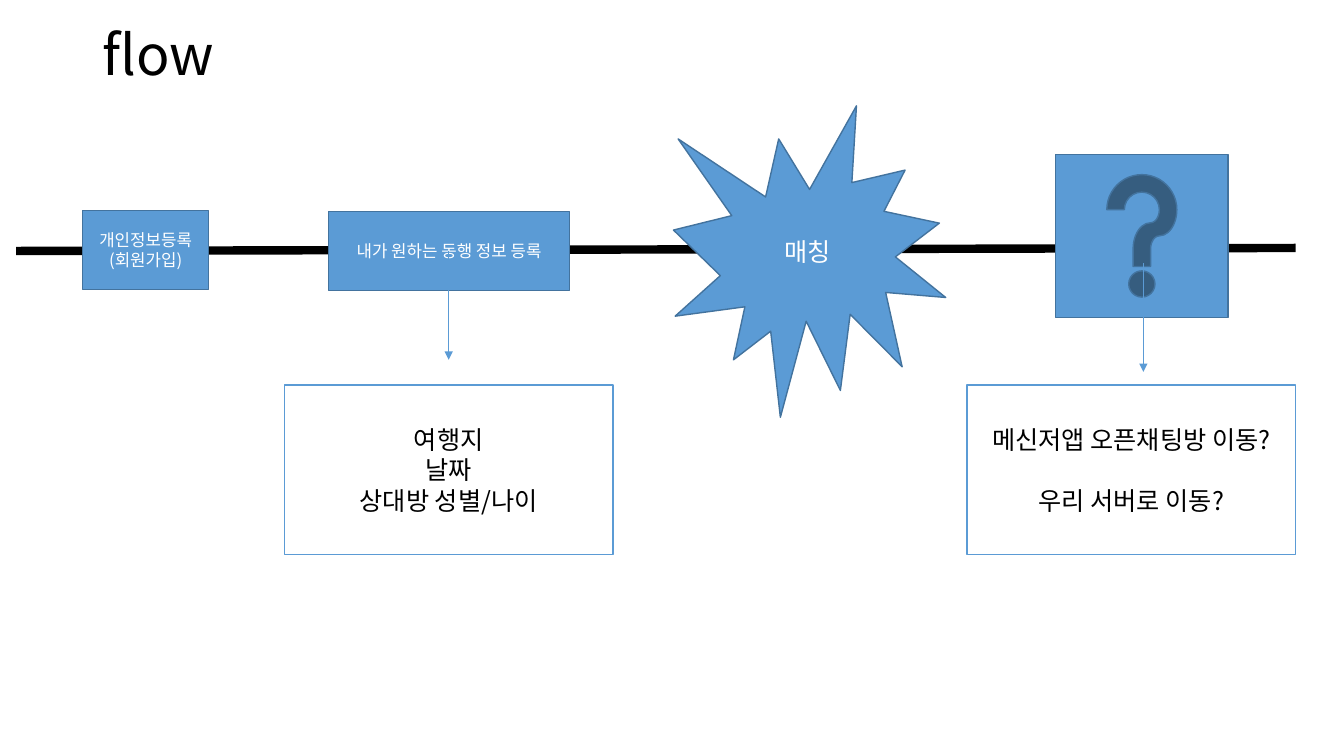
from lxml import etree
from pptx import Presentation
from pptx import util as u
from pptx.dml import color
from pptx.enum import shapes, text
from pptx.oxml import ns

FONT = "Noto Sans CJK KR"
BLUE, EDGE, WHITE, BLACK = "5B9BD5", "43739E", "FFFFFF", "000000"
KIND = shapes.MSO_SHAPE


def tint(code):
    return color.RGBColor.from_string(code)


class Deck:
    """Holds the text style and the current slide."""

    def __init__(self, show):
        self.slide = show.slides.add_slide(show.slide_layouts[6])
        self.frame = {"word_wrap": True, "vertical_anchor": text.MSO_ANCHOR.MIDDLE}

    def label(self, shape, lines, size, ink, **form):
        frame = shape.text_frame
        for key, val in self.frame.items():
            setattr(frame, key, val)
        for i, line in enumerate(lines):
            para = frame.add_paragraph() if i else frame.paragraphs[0]
            for key, val in form.items():
                if i or key != "space_before":
                    setattr(para, key, val)
            run = para.add_run()
            run.text = line
            for key, val in {"size": u.Pt(size), "name": FONT}.items():
                setattr(run.font, key, val)
            run.font.color.rgb = tint(ink)
            etree.SubElement(run._r.get_or_add_rPr(), ns.qn("a:ea"), typeface=FONT)

    def title(self, spot, words):
        box = self.slide.shapes.add_textbox(*map(u.Inches, spot))
        self.label(box, [words], 39.6, BLACK, line_spacing=0.9)

    def shape(self, kind, spot, lines=(), size=12, fill=BLUE, edge=EDGE, ink=WHITE, gap=0):
        item = self.slide.shapes.add_shape(kind, *map(u.Inches, spot))
        item.shadow.inherit = False
        item.fill.solid()
        item.fill.fore_color.rgb = tint(fill)
        item.line.color.rgb = tint(edge)
        item.line.width = u.Pt(1)
        self.label(item, lines, size, ink,
                   alignment=text.PP_ALIGN.CENTER, space_before=u.Pt(gap))

    def note(self, left, lines, gap=0):
        self.shape(KIND.RECTANGLE, (left, 3.82, 3.26, 1.68), lines, 18,
                   WHITE, BLUE, BLACK, gap)

    def line(self, ends, ink, width, head=False):
        link = self.slide.shapes.add_connector(
            shapes.MSO_CONNECTOR.STRAIGHT, *map(u.Inches, ends))
        link.line.color.rgb = tint(ink)
        link.line.width = u.Pt(width)
        props = link._element.spPr
        if head:
            etree.SubElement(props.find(ns.qn("a:ln")), ns.qn("a:tailEnd"), type="triangle")
        etree.SubElement(props, ns.qn("a:effectLst"))

    def arrow(self, x, top):
        self.line((x, top, x, top + 1.08), BLUE, 0.5, True)


def main():
    show = Presentation()
    show.slide_width, show.slide_height = u.Inches(13.33), u.Inches(7.5)
    deck = Deck(show)
    deck.title((0.92, 0.23, 11.5, 0.69), "flow")
    deck.line((0.16, 2.49, 12.85, 2.46), BLACK, 6)
    deck.shape(KIND.RECTANGLE, (0.82, 2.09, 1.25, 0.78), ["개인정보등록(회원가입)"])
    deck.shape(KIND.RECTANGLE, (3.26, 2.1, 2.39, 0.78), ["내가 원하는 동행 정보 등록"])
    deck.note(2.82, ["여행지", "날짜", "상대방 성별/나이"])
    deck.arrow(4.45, 2.49)
    deck.shape(KIND.EXPLOSION1, (6.68, 1.05, 2.7, 3.09), ["매칭"], 18)
    deck.shape(KIND.ACTION_BUTTON_HELP, (10.47, 1.53, 1.71, 1.62))
    deck.arrow(11.34, 2.61)
    deck.note(9.59, ["메신저앱 오픈채팅방 이동?", "우리 서버로 이동?"], 22)
    show.save("out.pptx")


if __name__ == "__main__":
    main()
